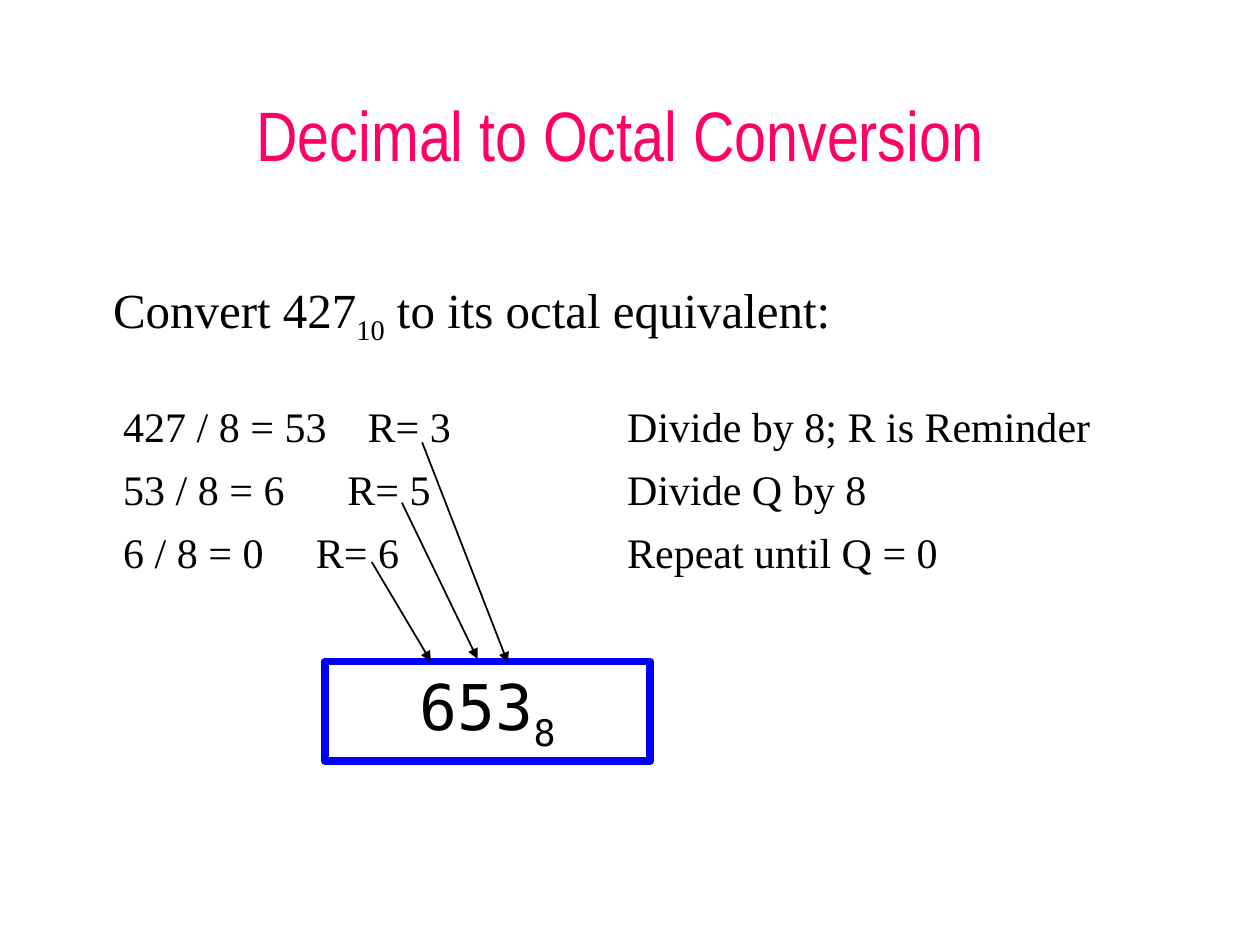
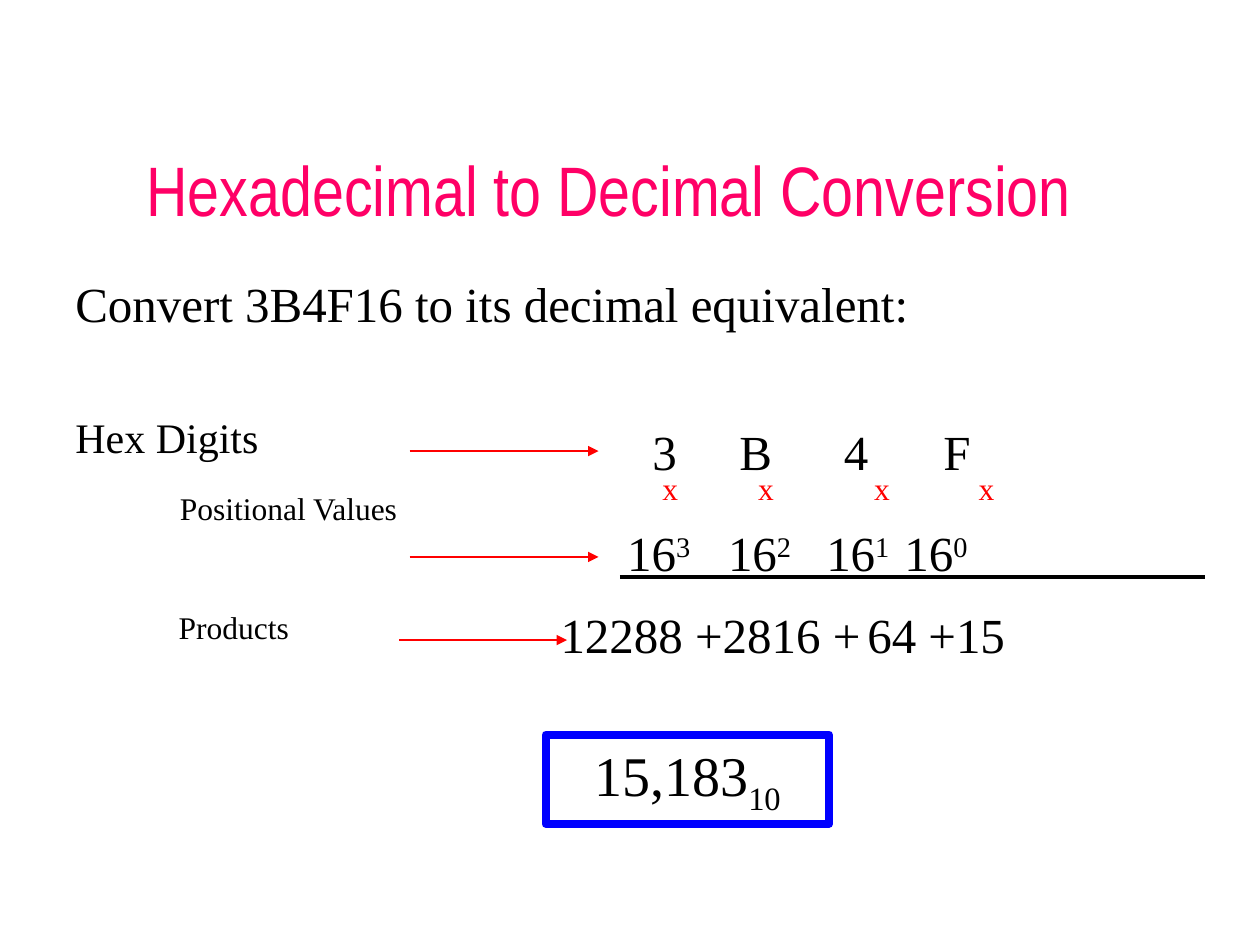
from lxml.etree import SubElement
from pptx import Presentation
from pptx.dml.color import RGBColor
from pptx.enum.shapes import MSO_CONNECTOR as Link, MSO_SHAPE as Preset
from pptx.enum.text import MSO_ANCHOR as Anchor, PP_ALIGN as Align
from pptx.oxml.ns import qn
from pptx.util import Inches, Pt

SERIF, MONO, NARROW = "Times New Roman", "DejaVu Sans Mono", "Arial Narrow"
BLACK, RED, BLUE, PINK = "000000", "FF0000", "0000FF", "FF0066"
SUB, SUPER = -25, 30


def color(value):
    """Turn a hex string into a colour."""
    return RGBColor.from_string(value)


class Lesson:
    """Holds the deck style and the page being drawn."""

    def __init__(self):
        """Start an empty deck."""
        self.deck = Presentation()
        self.deck.slide_width, self.deck.slide_height = Inches(10), Inches(7.5)
        self.page = None

    def start(self, title, left, bottom):
        """Add a page with its title resting on the given bottom."""
        self.page = self.deck.slides.add_slide(self.deck.slide_layouts[6])
        box = self.text([[title]], left, bottom - 0.8, 9, 0.8, size=40,
                        font=NARROW, ink=PINK, align=Align.CENTER)
        frame = {"vertical_anchor": Anchor.BOTTOM, "margin_left": 0,
                 "margin_right": 0, "margin_bottom": 0}
        for name, value in frame.items():
            setattr(box.text_frame, name, value)

    def fill(self, box, lines, size, font=SERIF, ink=BLACK,
             align=Align.LEFT, gap=0, tabs=()):
        """Write lines of spans, each a string or (string, format) pair."""
        box.text_frame.word_wrap = True
        box.text_frame.vertical_anchor = Anchor.TOP
        for index, line in enumerate(lines):
            para = box.text_frame.paragraphs[0]
            if index:
                para = box.text_frame.add_paragraph()
                para.space_before = Pt(gap)
            para.alignment = align
            if tabs:
                stops = SubElement(para._p.get_or_add_pPr(), qn("a:tabLst"))
                for stop in tabs[index]:
                    SubElement(stops, qn("a:tab"), pos=str(Inches(stop)), algn="l")
            for part in line:
                words, extra = (part, {}) if isinstance(part, str) else part
                span = para.add_run()
                span.text = words
                look = {"name": font, "size": Pt(extra.get("size", size))}
                for name, value in look.items():
                    setattr(span.font, name, value)
                span.font.color.rgb = color(ink)
                if "shift" in extra:
                    span._r.get_or_add_rPr().set("baseline", str(extra["shift"] * 1000))

    def text(self, lines, left, top, width, height, **look):
        """Add a text box."""
        box = self.page.shapes.add_textbox(*map(Inches, (left, top, width, height)))
        self.fill(box, lines, **look)
        return box

    def answer(self, number, base, left, top, width, height, **look):
        """Add the framed result with its base as a subscript."""
        box = self.page.shapes.add_shape(
            Preset.RECTANGLE, *map(Inches, (left, top, width, height)))
        box.shadow.inherit = False
        box.fill.background()
        box.line.color.rgb = color(BLUE)
        box.line.width = Pt(4.5)
        self.fill(box, [[number, (base, {"shift": SUB})]], align=Align.CENTER, **look)

    def line(self, start, end, ink=BLACK, width=1, arrow=True):
        """Draw a straight line, by default with an arrowhead at its end."""
        link = self.page.shapes.add_connector(
            Link.STRAIGHT, *map(Inches, (*start, *end)))
        link.line.color.rgb = color(ink)
        link.line.width = Pt(width)
        if arrow:
            SubElement(link.line._get_or_add_ln(), qn("a:tailEnd"), type="triangle")
        SubElement(link._element.spPr, qn("a:effectLst"))


def octal_page(lesson):
    """Build the division steps from decimal to octal."""
    lesson.start("Decimal to Octal Conversion", 0.42, 1.39)
    lesson.text([["Convert 427", ("10", {"shift": SUB}), " to its octal equivalent:"]],
                0.8, 2.17, 6.2, 0.63, size=28)
    steps = [("427 / 8 = 53", "R= 3", "Divide by 8; R is Reminder", 1.94),
             ("53 / 8 = 6", "R= 5", "Divide Q by 8", 1.78),
             ("6 / 8 = 0", "R= 6", "Repeat until Q = 0", 1.53)]
    lesson.text([["\t".join(step[:3])] for step in steps], 0.88, 3.13, 8.6, 1.5,
                size=24, gap=7.2, tabs=[(step[3], 4) for step in steps])
    lesson.answer("653", "8", 2.58, 5.25, 2.58, 0.79, size=36, font=MONO)
    for start, end in [((3.35, 3.51), (4.03, 5.26)), ((3.19, 3.99), (3.79, 5.23)),
                       ((2.95, 4.46), (3.42, 5.25))]:
        lesson.line(start, end)


def hexadecimal_page(lesson):
    """Build the positional sum from hexadecimal to decimal."""
    lesson.start("Hexadecimal to Decimal Conversion", 0.33, 1.83)
    lesson.text([["Convert 3B4F16 to its decimal equivalent:"]],
                0.5, 2.12, 9, 0.57, size=28)
    for label, left, top, size in [("Hex Digits", 0.5, 3.22, 24),
                                   ("Positional Values", 1.33, 3.83, 18),
                                   ("Products", 1.32, 4.78, 18)]:
        lesson.text([[label]], left, top, 2.6, 0.4, size=size)
    lesson.text([["3\tB\t4\tF"]], 5.08, 3.3, 4.9, 0.57, size=28,
                tabs=[(0.69, 1.52, 2.31)])
    for left in (5.07, 5.83, 6.75, 7.58):
        lesson.text([["x"]], left, 3.67, 0.5, 0.4, size=18, ink=RED,
                    align=Align.CENTER)
    powers = []
    for power in "3210":
        powers += ["\t16" if powers else "16", (power, {"shift": SUPER})]
    lesson.text([powers], 4.88, 4.1, 4.7, 0.57, size=28, tabs=[(0.8, 1.58, 2.2)])
    lesson.line((4.92, 4.58), (9.56, 4.58), width=2.25, arrow=False)
    lesson.text([["12288 +2816 +", (" ", {"size": 16}), "64 +15"]],
                4.35, 4.75, 5.15, 0.57, size=28)
    for left, right, top in [(3.25, 4.75, 3.58), (3.25, 4.75, 4.42), (3.17, 4.5, 5.08)]:
        lesson.line((left, top), (right, top), ink=RED)
    lesson.answer("15,183", "10", 4.33, 5.83, 2.25, 0.71, size=32)


def main():
    """Build and save both pages."""
    lesson = Lesson()
    octal_page(lesson)
    hexadecimal_page(lesson)
    lesson.deck.save("out.pptx")


if __name__ == "__main__":
    main()
